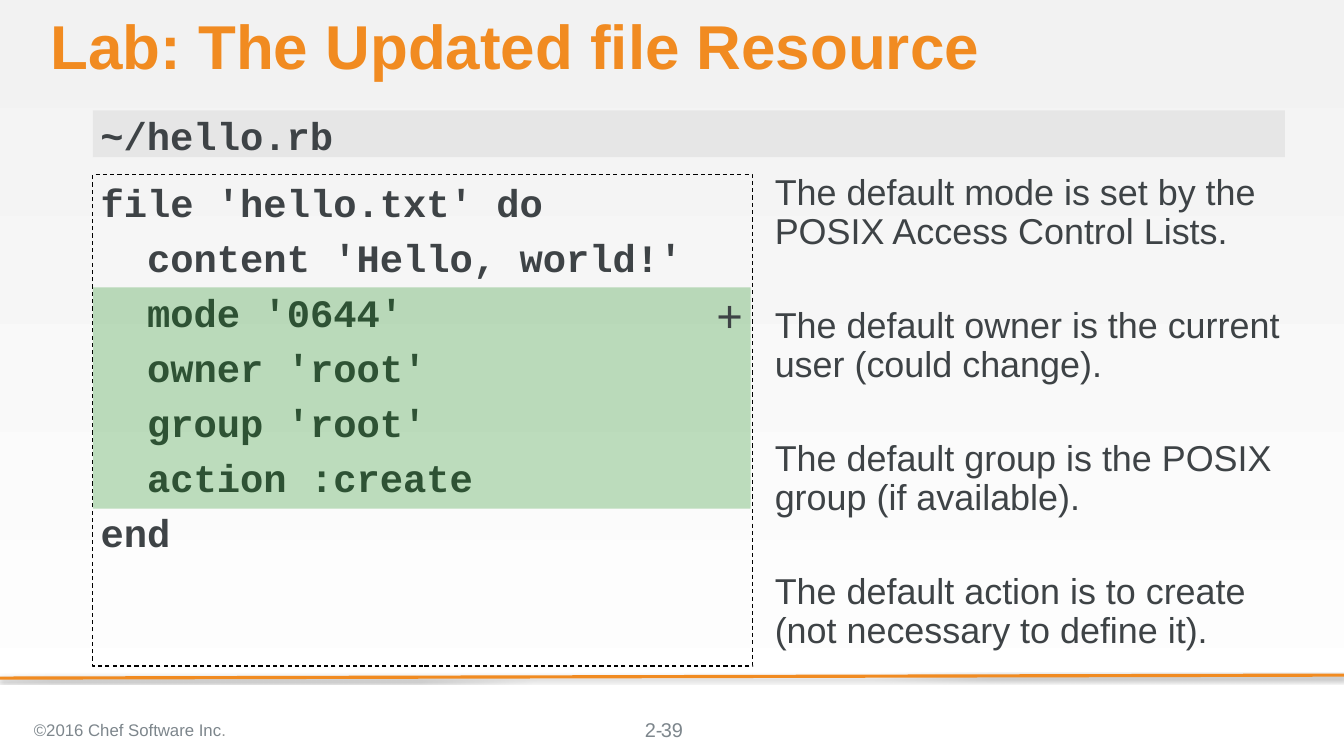
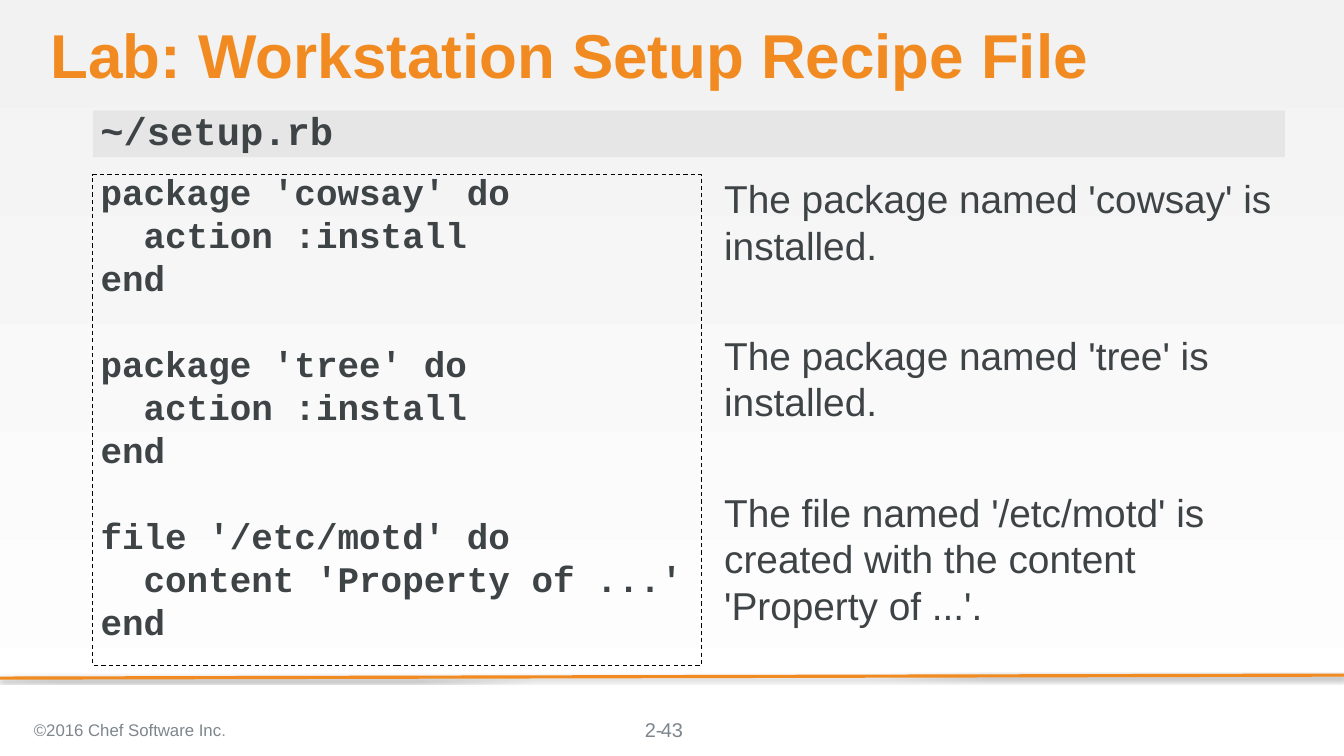
"""Build two lab slides that pair a code listing with explanatory notes."""
from lxml import etree
from pptx import Presentation
from pptx.dml.color import RGBColor
from pptx.enum.dml import MSO_LINE
from pptx.enum.shapes import MSO_CONNECTOR, MSO_SHAPE
from pptx.enum.text import MSO_ANCHOR, MSO_AUTO_SIZE, PP_ALIGN
from pptx.oxml.ns import qn
from pptx.util import Inches, Pt

LEFT, CENTER, RIGHT = PP_ALIGN.LEFT, PP_ALIGN.CENTER, PP_ALIGN.RIGHT
TOP, MIDDLE = MSO_ANCHOR.TOP, MSO_ANCHOR.MIDDLE
DASH = MSO_LINE.DASH
RECTANGLE = MSO_SHAPE.RECTANGLE
STRAIGHT = MSO_CONNECTOR.STRAIGHT

COLORS = {
    "top": "F2F2F2", "bottom": "FFFFFF", "orange": "F18B21", "text": "3E4346",
    "footer": "7D868C", "period": "929494", "band": "D9D9D9",
    "highlight": "008000", "black": "000000",
}
SANS, MONO = "Arial", "Courier New"
WIDTH, HEIGHT = 17.78, 10
LEFT_EDGE, RIGHT_EDGE, CONTENT_TOP = 1.23, 17, 2.31
NO_INSETS, BOX_INSETS = (0, 0, 0, 0), (0.1, 0.05, 0.1, 0.05)
GAP = 8

SLIDES = [
    {
        "title": "Lab: The Updated file Resource", "title_top": 0.21,
        "file": "~/hello.rb", "file_spacing": 1.2, "number": "39",
        "code": [[
            "file 'hello.txt' do",
            "  content 'Hello, world!'",
            "  mode '0644'",
            "  owner 'root'",
            "  group 'root'",
            "  action :create",
            "end",
        ]],
        "code_box": (8.73, 6.5), "code_size": 37, "code_spacing": 1, "block_gap": GAP,
        "notes": [
            "The default mode is set by the POSIX Access Control Lists.",
            "The default owner is the current user (could change).",
            "The default group is the POSIX group (if available).",
            "The default action is to create (not necessary to define it).",
        ],
        "notes_left": 10.25, "notes_height": 6.5,
        "notes_size": 34.2, "notes_spacing": 0.9, "notes_gap": 52.8,
        "highlight": (LEFT_EDGE, 3.8, 8.7, 2.93),
    },
    {
        "title": "Lab: Workstation Setup Recipe File", "title_top": 0.33,
        "file": "~/setup.rb", "file_spacing": 1, "number": "43",
        "code": [
            ["package 'cowsay' do", "  action :install", "end"],
            ["package 'tree' do", "  action :install", "end"],
            ["file '/etc/motd' do", "  content 'Property of ...'", "end"],
        ],
        "code_box": (8.05, 6.49), "code_size": 34.2, "code_spacing": 0.8, "block_gap": 49,
        "notes": [
            "The package named 'cowsay' is installed.",
            "The package named 'tree' is installed.",
            "The file named '/etc/motd' is created with the content 'Property of ...'.",
        ],
        "notes_left": 9.58, "notes_height": 6.88,
        "notes_size": 37, "notes_spacing": 1, "notes_gap": 60.6,
        "highlight": None,
    },
]


def color(name):
    return RGBColor.from_string(COLORS[name])


def place(shape, box):
    shape.left, shape.top, shape.width, shape.height = map(Inches, box)


def write(shape, paragraphs, size, font=SANS, ink="text", bold=False, spacing=1,
          align=LEFT, anchor=TOP, insets=NO_INSETS):
    """Fill a shape with (space before, [(text, colour), ...]) paragraphs."""
    frame = shape.text_frame
    frame.word_wrap = True
    frame.auto_size = MSO_AUTO_SIZE.NONE
    frame.vertical_anchor = anchor
    (frame.margin_left, frame.margin_top,
     frame.margin_right, frame.margin_bottom) = map(Inches, insets)
    for index, (before, runs) in enumerate(paragraphs):
        paragraph = frame.add_paragraph() if index else frame.paragraphs[0]
        properties = paragraph._p.get_or_add_pPr()
        properties.set("marL", "0")
        properties.set("indent", "0")
        etree.SubElement(properties, qn("a:buNone"))
        paragraph.alignment = align
        paragraph.line_spacing = spacing
        paragraph.space_before = Pt(before if index else 0)
        paragraph.space_after = Pt(0)
        for text, run_ink in runs:
            run = paragraph.add_run()
            run.text = text
            run.font.name, run.font.size, run.font.bold = font, Pt(size), bold
            run.font.color.rgb = color(run_ink or ink)


def single(text):
    return [(0, [(text, None)])]


def add_box(slide, box, fill, opacity):
    shape = slide.shapes.add_shape(RECTANGLE, *map(Inches, box))
    shape.shadow.inherit = False
    shape.line.fill.background()
    shape.fill.solid()
    shape.fill.fore_color.rgb = color(fill)
    solid = shape._element.spPr.find(qn("a:solidFill"))
    etree.SubElement(solid[0], qn("a:alpha"), val=str(opacity * 1000))
    return shape


def add_label(slide, box, runs, size, **style):
    label = slide.shapes.add_textbox(*map(Inches, box))
    write(label, [(0, runs)], size, ink="footer", **style)


def set_background(master):
    fill = master.background.fill
    fill.gradient()
    fill.gradient_angle = 270
    for stop, name, position in zip(fill.gradient_stops, ("top", "bottom"), (0, 1)):
        stop.color.rgb = color(name)
        stop.position = position


def add_rule(slide):
    rule = slide.shapes.add_connector(
        STRAIGHT, Inches(WIDTH), Inches(8.93), Inches(0), Inches(8.97))
    rule.line.color.rgb = color("orange")
    rule.line.width = Pt(3)
    effects = etree.SubElement(rule._element.spPr, qn("a:effectLst"))
    shadow = etree.SubElement(effects, qn("a:outerShdw"), blurRad=str(Pt(3.1)),
                              dist=str(Pt(1.8)), dir="5400000", rotWithShape="0")
    ink = etree.SubElement(shadow, qn("a:srgbClr"), val=COLORS["black"])
    etree.SubElement(ink, qn("a:alpha"), val="35000")


def add_footer(slide, number):
    add_label(slide, (8.49, 9.49, 0.8, 0.32), [("2-", None)], 19, insets=(0.04, 0, 0, 0))
    add_label(slide, (0.35, 9.38, 6.21, 0.56),
              [("©2016 Chef Software Inc", None), (".", "period")], 16,
              anchor=MIDDLE, insets=BOX_INSETS)
    add_label(slide, (6.89, 9.38, 4, 0.53), [(number, None)], 19,
              align=CENTER, anchor=MIDDLE, insets=BOX_INSETS)


def build_slide(presentation, content):
    slide = presentation.slides.add_slide(presentation.slide_layouts[3])
    title, code, notes = slide.placeholders
    add_rule(slide)

    place(title, (0.67, content["title_top"], 16.33, 0.91))
    write(title, single(content["title"]), 59, ink="orange", bold=True, spacing=0.9)

    place(code, (LEFT_EDGE, CONTENT_TOP, *content["code_box"]))
    code.line.color.rgb = color("black")
    code.line.width = Pt(1)
    code.line.dash_style = DASH
    lines = [(GAP if index else content["block_gap"], [(line, None)])
             for block in content["code"] for index, line in enumerate(block)]
    write(code, lines, content["code_size"], MONO, bold=True,
          spacing=content["code_spacing"], insets=BOX_INSETS)

    band = add_box(slide, (LEFT_EDGE, 1.46, RIGHT_EDGE - LEFT_EDGE, 0.62), "band", 50)
    write(band, single(content["file"]), 37, MONO, bold=True,
          spacing=content["file_spacing"], anchor=MIDDLE, insets=(0.1, 0, 0, 0.1))

    left = content["notes_left"]
    place(notes, (left, CONTENT_TOP, RIGHT_EDGE - left, content["notes_height"]))
    write(notes, [(content["notes_gap"], [(note, None)]) for note in content["notes"]],
          content["notes_size"], spacing=content["notes_spacing"])

    if content["highlight"]:
        highlight = add_box(slide, content["highlight"], "highlight", 25)
        write(highlight, single("+"), 43, MONO, align=RIGHT, insets=(0, 0, 0.1, 0.65))
    add_footer(slide, content["number"])


def main():
    presentation = Presentation()
    presentation.slide_width, presentation.slide_height = Inches(WIDTH), Inches(HEIGHT)
    set_background(presentation.slide_master)
    for content in SLIDES:
        build_slide(presentation, content)
    presentation.save("out.pptx")


if __name__ == "__main__":
    main()
